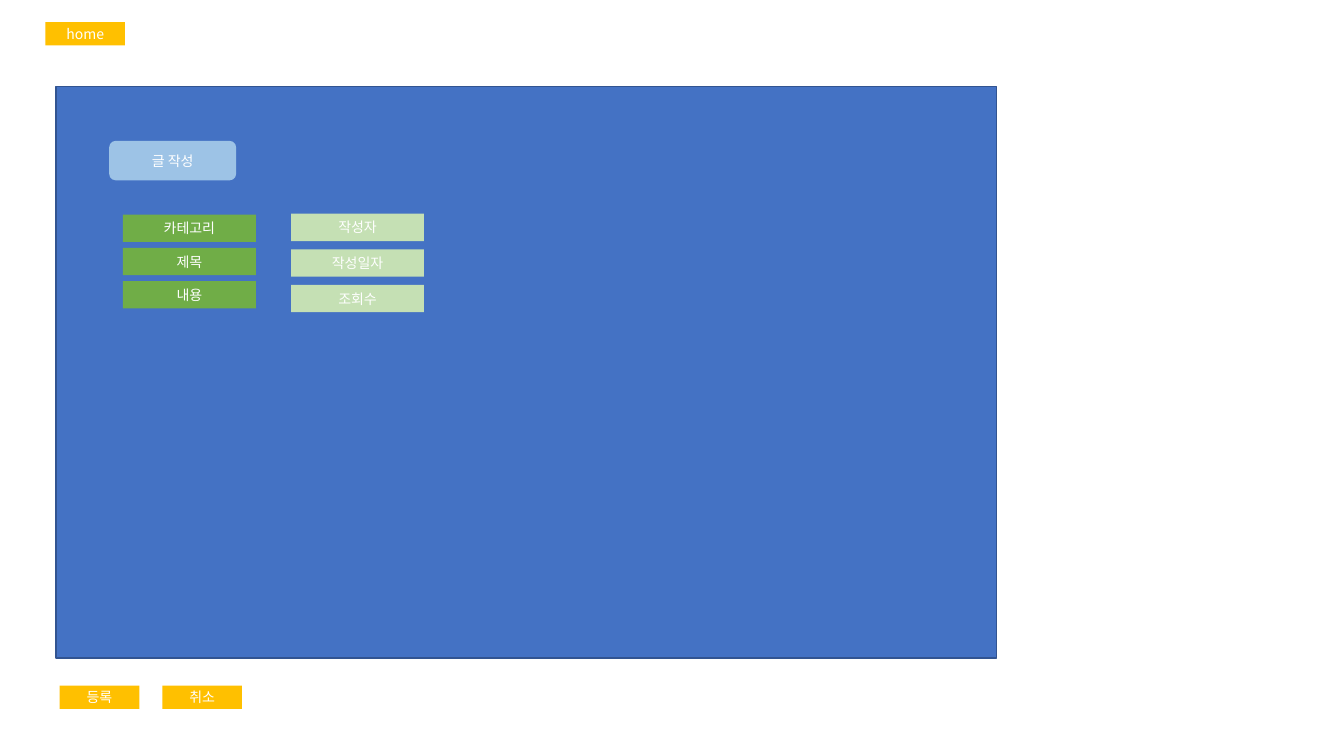
from dataclasses import dataclass

from lxml.etree import SubElement
from pptx import Presentation
from pptx.dml.color import RGBColor
from pptx.enum.shapes import MSO_SHAPE
from pptx.enum.text import MSO_ANCHOR, PP_ALIGN
from pptx.oxml.ns import qn
from pptx.util import Pt


@dataclass(frozen=True)
class Theme:
    font: str = "Noto Sans CJK KR"
    label_size: float = 10
    text: str = "FFFFFF"
    button: str = "FFC000"
    panel: str = "4472C4"
    panel_line: str = "325491"
    heading: str = "9DC3E6"
    input_field: str = "70AD47"
    auto_field: str = "C5E0B4"


def write_label(frame, text, *, font, size, color):
    """Put one centred line into a text frame, in Latin and East Asian type."""
    frame.margin_left = frame.margin_right = 0
    frame.margin_top = frame.margin_bottom = 0
    frame.word_wrap = True
    frame.vertical_anchor = MSO_ANCHOR.MIDDLE
    para = frame.paragraphs[0]
    para.alignment = PP_ALIGN.CENTER
    span = para.add_run()
    span.text = text
    span.font.size = Pt(size)
    span.font.color.rgb = RGBColor.from_string(color)
    span.font.name = font
    SubElement(span.font._element, qn("a:ea"), typeface=font)


class Wireframe:
    def __init__(self, page, theme):
        self.page = page
        self.theme = theme

    def block(self, left, top, width, height, fill, text="", line=None,
              kind=MSO_SHAPE.RECTANGLE):
        box = self.page.shapes.add_shape(
            kind, Pt(left), Pt(top), Pt(width), Pt(height))
        box.shadow.inherit = False
        box.fill.solid()
        box.fill.fore_color.rgb = RGBColor.from_string(fill)
        if line:
            box.line.color.rgb = RGBColor.from_string(line)
            box.line.width = Pt(1)
        else:
            box.line.fill.background()
        if text:
            write_label(box.text_frame, text, font=self.theme.font,
                        size=self.theme.label_size, color=self.theme.text)

    def button(self, left, top, text):
        self.block(left, top, 56.9, 16.6, self.theme.button, text)

    def panel(self, left, top, width, height):
        self.block(left, top, width, height, self.theme.panel,
                   line=self.theme.panel_line)

    def heading(self, left, top, text):
        self.block(left, top, 90.7, 28.2, self.theme.heading, text,
                   kind=MSO_SHAPE.ROUNDED_RECTANGLE)

    def field_column(self, left, top, pitch, fill, names):
        for row, name in enumerate(names):
            self.block(left, top + row * pitch, 95, 19.5, fill, name)


def main():
    deck = Presentation()
    deck.slide_width, deck.slide_height = Pt(960), Pt(540)
    theme = Theme()
    blank_layout = deck.slide_layouts[6]
    screen = Wireframe(deck.slides.add_slide(blank_layout), theme)

    screen.button(32.4, 15.8, "home")
    screen.button(42.6, 489.8, "등록")
    screen.button(115.9, 489.8, "취소")
    screen.panel(40.1, 61.7, 671.8, 408.4)
    screen.heading(78, 100.6, "글 작성")
    screen.field_column(87.8, 153.3, 23.8, theme.input_field,
                        ["카테고리", "제목", "내용"])
    screen.field_column(207.9, 152.7, 25.4, theme.auto_field,
                        ["작성자", "작성일자", "조회수"])
    deck.save("out.pptx")


if __name__ == "__main__":
    main()
